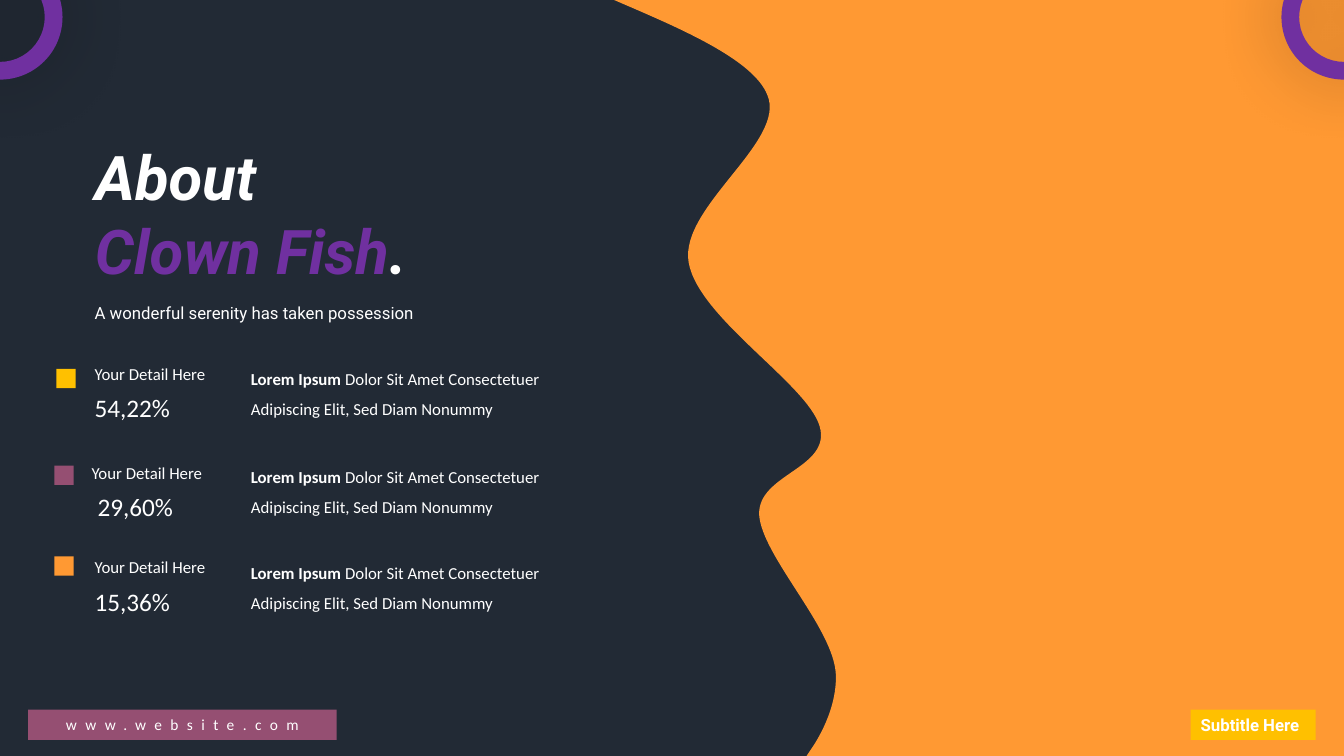
from pptx import Presentation
from pptx import util as u
from pptx.dml.color import RGBColor
from pptx.enum import shapes, text
from lxml import etree

WHITE, DARK, ORANGE = "FFFFFF", "222A35", "FF9933"
PURPLE, YELLOW, PLUM = "7030A0", "FFC000", "954F72"
DRAWING = "http://schemas.openxmlformats.org/drawingml/2006/main"
GROW = text.MSO_AUTO_SIZE.SHAPE_TO_FIT_TEXT

# Wave edge: start point, then the two controls and the end of each curve.
WAVE_START = (8.08, 7.38)
WAVE_CURVES = [
    ((8.21, 7.17), (8.3, 6.92), (8.29, 6.69)),
    ((8.27, 6.23), (7.56, 5.52), (7.53, 5.11)),
    ((7.51, 4.7), (8.25, 4.65), (8.13, 4.23)),
    ((8.01, 3.81), (6.92, 3.15), (6.83, 2.6)),
    ((6.74, 2.05), (7.81, 1.4), (7.61, 0.94)),
    ((7.47, 0.59), (6.74, 0.28), (6.16, 0.03)),
]
# Row top, value, colour, then offsets of marker, label and value from the row's corner.
DETAILS = [
    (3.51, "54,22%", YELLOW, (0.02, 0.15), (0.3, 0.05), (0.3, 0.33)),
    (4.48, "29,60%", PLUM, (0, 0.14), (0.27, 0.06), (0.33, 0.35)),
    (5.43, "15,36%", ORANGE, (0, 0.09), (0.3, 0.04), (0.3, 0.34)),
]


def paint(color_format, color):
    """Set a fill or font colour from a hex string."""
    color_format.rgb = RGBColor.from_string(color)


def fill_shape(shape, color):
    """Give a shape a solid fill with no line and no shadow."""
    shape.fill.solid()
    paint(shape.fill.fore_color, color)
    shape.line.fill.background()
    shape.shadow.inherit = False


def add_block(slide, kind, box, color, adjustment=None):
    """Add a filled preset shape in box."""
    shape = slide.shapes.add_shape(kind, *map(u.Inches, box))
    fill_shape(shape, color)
    if adjustment is not None:
        shape.adjustments[0] = adjustment
    return shape


def write(shape, paragraphs, size, font="Calibri", spacing=1.0, align=text.PP_ALIGN.LEFT,
          anchor=text.MSO_ANCHOR.TOP, wrap=True, auto_size=GROW):
    """Write paragraphs, each a list of (text, colour, extra font values)."""
    frame = shape.text_frame
    frame.word_wrap, frame.auto_size, frame.vertical_anchor = wrap, auto_size, anchor
    for index, runs in enumerate(paragraphs):
        paragraph = frame.add_paragraph() if index else frame.paragraphs[0]
        paragraph.alignment, paragraph.line_spacing = align, spacing
        for words, color, extra in runs:
            run = paragraph.add_run()
            run.text = words
            for name, value in {"name": font, "size": u.Pt(size), **extra}.items():
                setattr(run.font, name, value)
            paint(run.font.color, color)


def add_text(slide, box, runs, size, **options):
    """Add a one-paragraph text box."""
    write(slide.shapes.add_textbox(*map(u.Inches, box)), [runs], size, **options)


def bend(shape, curves):
    """Turn the last straight segments of a freeform into cubic curves."""
    lines = list(shape._element.iter(f"{{{DRAWING}}}lnTo"))[-len(curves):]
    for line, curve in zip(lines, curves):
        line.tag = f"{{{DRAWING}}}cubicBezTo"
        line.clear()
        for x, y in curve:
            etree.SubElement(line, f"{{{DRAWING}}}pt", x=str(u.Inches(x) - shape.left),
                             y=str(u.Inches(y) - shape.top))


def add_wave(slide, width, height):
    """Fill the right side of the slide up to the wavy edge."""
    corners = [(6.09, 0), (width, 0), (width, height), (8, height), WAVE_START]
    outline = corners + [curve[-1] for curve in WAVE_CURVES]
    points = [(u.Inches(x), u.Inches(y)) for x, y in outline]
    builder = slide.shapes.build_freeform(*points[0])
    builder.add_line_segments(points[1:])
    wave = builder.convert_to_shape()
    bend(wave, WAVE_CURVES)
    fill_shape(wave, ORANGE)


def add_heading(slide, left, top):
    """Place the two-line title and the sentence below it."""
    title = slide.shapes.title
    title.left, title.top, title.width, title.height = map(u.Inches, (left, top, 5.22, 1.58))
    style = {"bold": True, "italic": True}
    write(title, [[("About", WHITE, style)],
                  [("Clown Fish", PURPLE, style), (".", WHITE, style)]], 44, "Roboto")
    add_text(slide, (left, top + 1.52, 4.42, 0.37),
             [("A wonderful serenity has taken possession", WHITE, {})], 12,
             font="Roboto", spacing=1.5)


def add_detail(slide, left, top, value, color, marker, label, figure):
    """Place one row: marker, label, percentage and description."""
    def box(offset, width, height):
        """Return a box offset from the row's corner."""
        return left + offset[0], top + offset[1], width, height

    add_block(slide, shapes.MSO_SHAPE.RECTANGLE, box(marker, 0.19, 0.19), color)
    add_text(slide, box(label, 1.88, 0.3), [("Your Detail Here", WHITE, {})], 12)
    add_text(slide, box(figure, 1.55, 0.4), [(value, WHITE, {})], 18)
    add_text(slide, box((1.85, 0), 3.09, 0.68),
             [("Lorem Ipsum ", WHITE, {"bold": True}),
              ("Dolor Sit Amet Consectetuer Adipiscing Elit, Sed Diam Nonummy", WHITE, {})],
             12, spacing=1.5)


def add_footer(slide, top, height):
    """Place the subtitle tag and the website bar."""
    tag = add_block(slide, shapes.MSO_SHAPE.RECTANGLE, (11.81, top, 1.24, height), YELLOW)
    write(tag, [[("Subtitle Here", WHITE, {"bold": True})]], 12, "Roboto", wrap=False)
    bar = add_block(slide, shapes.MSO_SHAPE.ROUNDED_RECTANGLE, (0.28, top, 3.06, height), PLUM, 0)
    write(bar, [[("www.website.com", WHITE, {})]], 11, align=text.PP_ALIGN.CENTER,
          anchor=text.MSO_ANCHOR.MIDDLE, auto_size=text.MSO_AUTO_SIZE.NONE)
    run = bar.text_frame.paragraphs[0].runs[0]
    run._r.get_or_add_rPr().set("spc", "600")


def add_ring(slide, left, top, size):
    """Add a corner ring with a soft shadow."""
    ring = add_block(slide, shapes.MSO_SHAPE.DONUT, (left, top, size, size), PURPLE, 0.142)
    effects = ring._element.spPr.find(f"{{{DRAWING}}}effectLst")
    effects.append(etree.fromstring(
        f'<a:outerShdw xmlns:a="{DRAWING}" blurRad="{u.Pt(49)}" dist="0" dir="0" '
        'algn="ctr" rotWithShape="0"><a:srgbClr val="000000"><a:alpha val="33000"/>'
        '</a:srgbClr></a:outerShdw>'))


def build():
    """Build and save the presentation."""
    width, height, ring_size = 13.33, 7.5, 1.24
    presentation = Presentation()
    presentation.slide_width, presentation.slide_height = u.Inches(width), u.Inches(height)
    slide = presentation.slides.add_slide(presentation.slide_layouts[5])
    slide.background.fill.solid()
    paint(slide.background.fill.fore_color, DARK)
    add_wave(slide, width, height)
    add_heading(slide, 0.84, 1.33)
    for detail in DETAILS:
        add_detail(slide, 0.54, *detail)
    add_footer(slide, 7.04, 0.3)
    for center in (0, width):
        add_ring(slide, center - ring_size / 2, -0.45, ring_size)
    presentation.save("out.pptx")


build()
